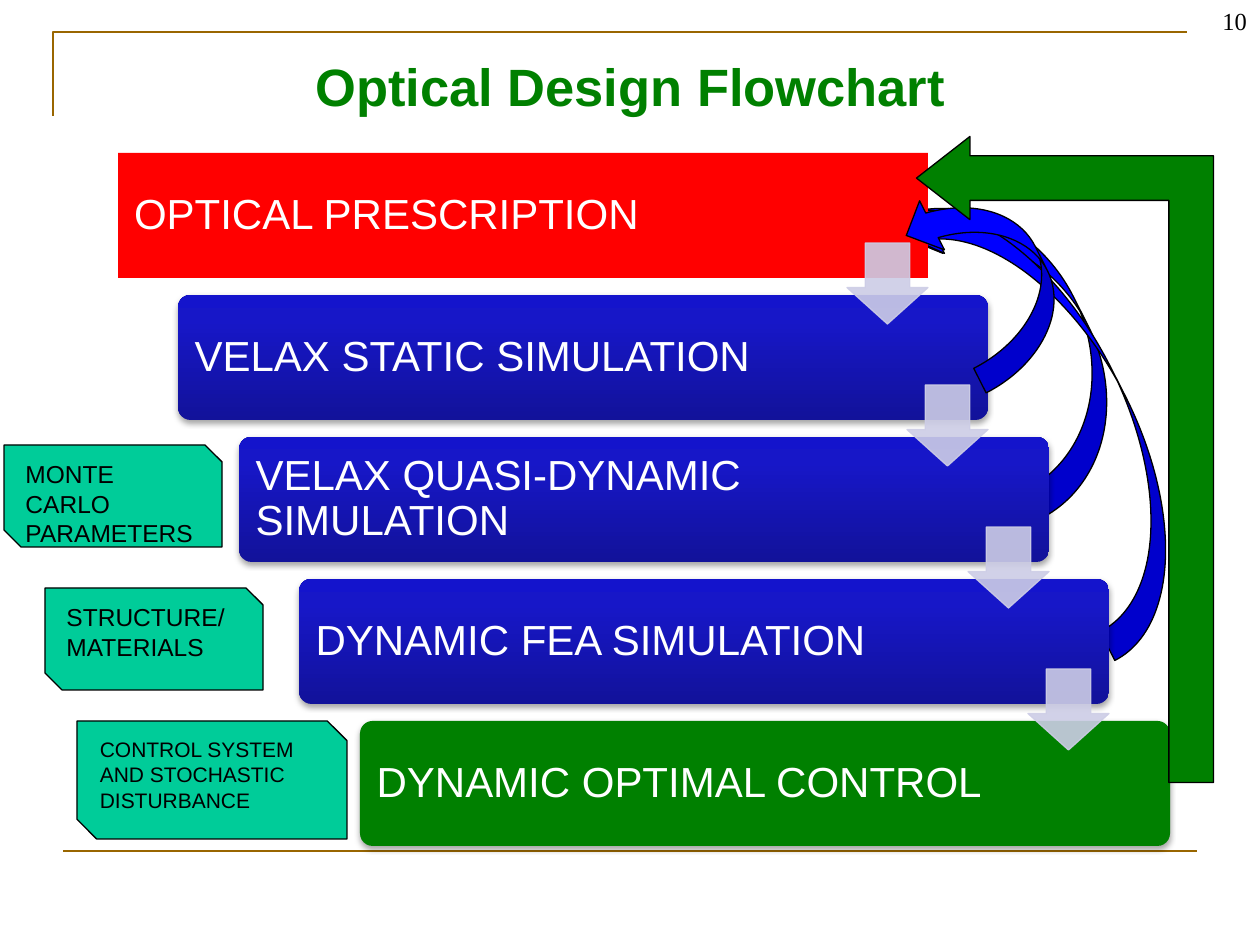
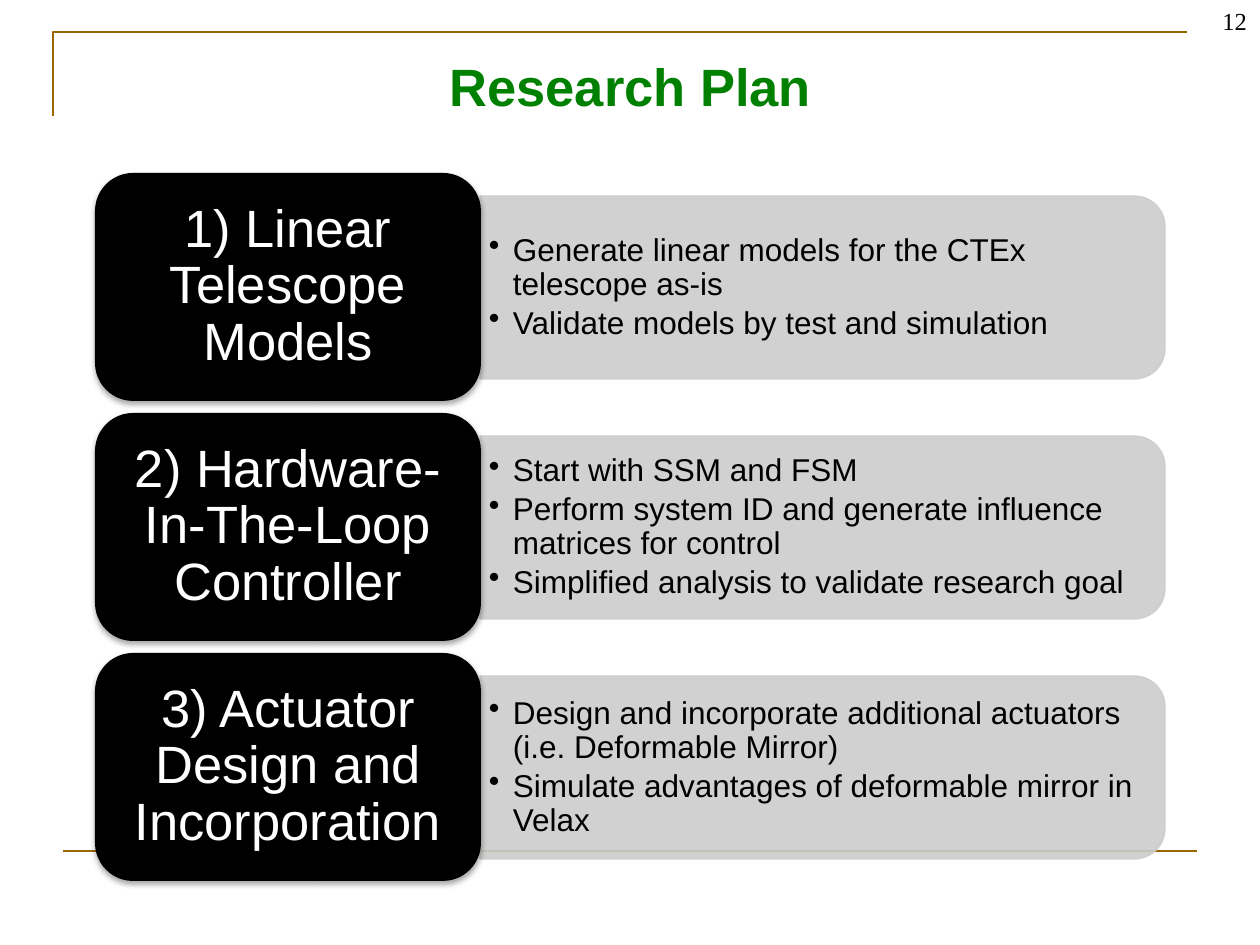
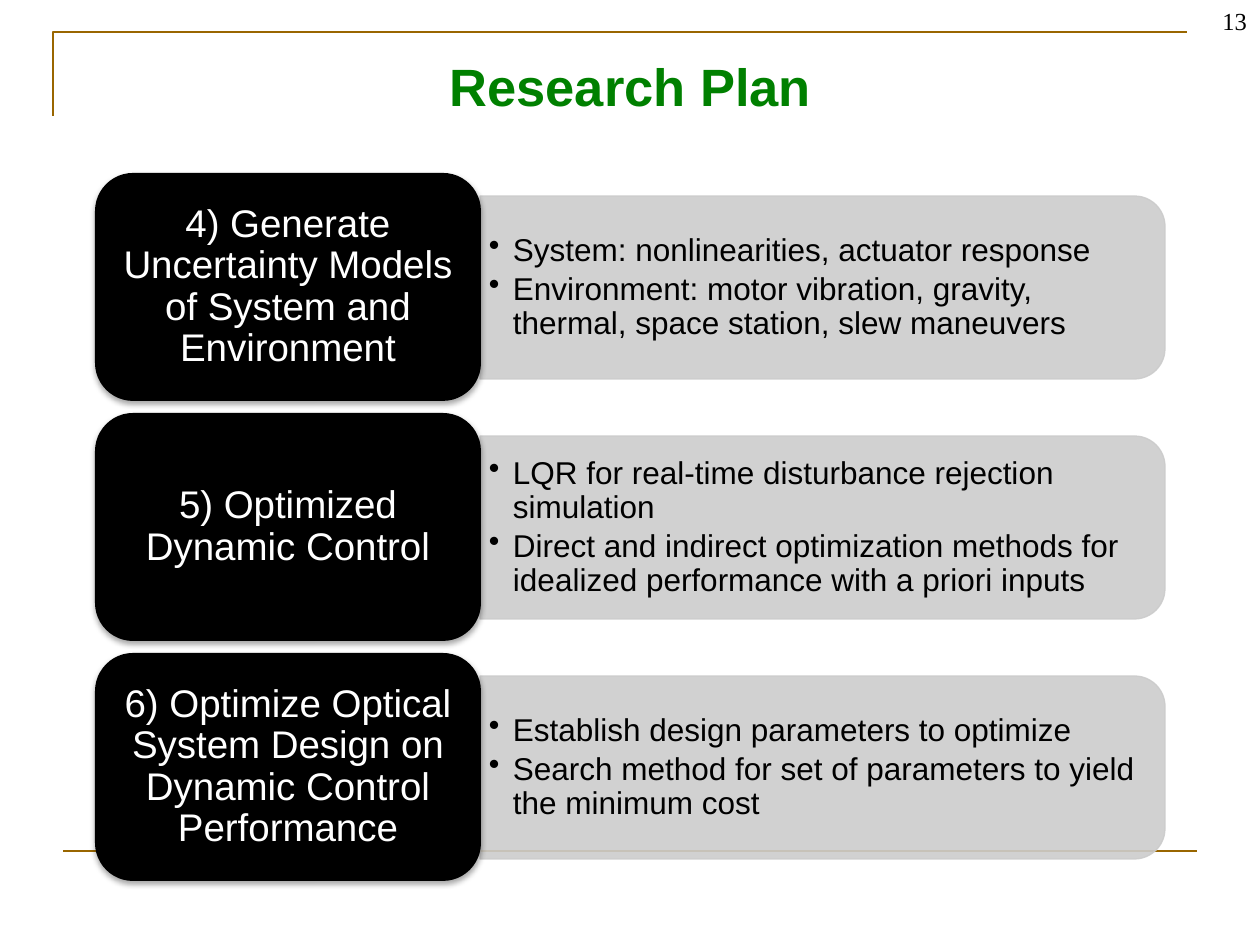
from dataclasses import dataclass
from typing import NamedTuple, Optional

from lxml import etree
from pptx import Presentation
from pptx.dml.color import RGBColor
from pptx.enum.shapes import MSO_CONNECTOR, MSO_SHAPE
from pptx.enum.text import MSO_ANCHOR, PP_ALIGN
from pptx.oxml import parse_xml
from pptx.oxml.ns import nsdecls, qn
from pptx.util import Emu, Pt

RECT = MSO_SHAPE.RECTANGLE
ROUNDED = MSO_SHAPE.ROUNDED_RECTANGLE
SNIPPED = MSO_SHAPE.SNIP_2_DIAG_RECTANGLE
TAB = MSO_SHAPE.ROUND_2_SAME_RECTANGLE
DOWN_ARROW = MSO_SHAPE.DOWN_ARROW
CURVED_ARROW = MSO_SHAPE.CURVED_RIGHT_ARROW
BENT_ARROW = MSO_SHAPE.BENT_UP_ARROW
STRAIGHT = MSO_CONNECTOR.STRAIGHT
TOP, MIDDLE = MSO_ANCHOR.TOP, MSO_ANCHOR.MIDDLE
LEFT, CENTER, RIGHT = PP_ALIGN.LEFT, PP_ALIGN.CENTER, PP_ALIGN.RIGHT

PX_PER_INCH = 126
BLACK, WHITE, GREEN, RED = "000000", "FFFFFF", "008000", "FF0000"
BROWN, BLUE, TEAL = "996600", "0000FF", "00CC99"
LAVENDER, GREY = "CDCDE6", "CCCCCC"
BLUE_STOPS = ((0, "12129A"), (80, "1717C8"), (100, "1414CC"))


class Box(NamedTuple):
    left: int
    top: int
    width: int
    height: int


class Insets(NamedTuple):
    left: int = 13
    top: int = 6
    right: int = 13
    bottom: int = 6


@dataclass(frozen=True)
class TextStyle:
    size: int
    color: str = BLACK
    font: str = "Arial"
    bold: bool = False
    align: PP_ALIGN = LEFT
    anchor: MSO_ANCHOR = TOP
    line_spacing: Optional[float] = None
    insets: Insets = Insets()
    bulleted: bool = False


@dataclass(frozen=True)
class Stage:
    """One step of the flowchart; no fill means the blue gradient."""
    label: str
    fill: Optional[str] = None
    geometry: MSO_SHAPE = ROUNDED


@dataclass(frozen=True)
class StageInput:
    label: str
    box: Box
    size: int = 14


@dataclass(frozen=True)
class Task:
    heading: str
    points: tuple[str, ...]


@dataclass(frozen=True)
class PlanPage:
    number: int
    heading_style: TextStyle
    tasks: tuple[Task, ...]


TITLE = TextStyle(30, GREEN, bold=True, align=CENTER, anchor=MIDDLE)
PAGE_NUMBER = TextStyle(14, font="Times New Roman", align=RIGHT)
POINTS = TextStyle(18, anchor=MIDDLE, line_spacing=0.9,
                   insets=Insets(9, 5, 9, 5), bulleted=True)

STAGES = (
    Stage("OPTICAL PRESCRIPTION", RED, RECT),
    Stage("VELAX STATIC SIMULATION"),
    Stage("VELAX QUASI-DYNAMIC SIMULATION"),
    Stage("DYNAMIC FEA SIMULATION"),
    Stage("DYNAMIC OPTIMAL CONTROL", GREEN),
)
STAGE_INPUTS = (
    StageInput("MONTE CARLO PARAMETERS", Box(4, 445, 218, 102)),
    StageInput("STRUCTURE/MATERIALS", Box(45, 588, 218, 102)),
    StageInput("CONTROL SYSTEM AND STOCHASTIC DISTURBANCE", Box(77, 721, 270, 118), 12),
)
FAR_LOOPS = (Box(955, 158, 129, 350), Box(992, 147, 129, 512))
NEAR_LOOP = Box(934, 175, 110, 204)
LOOP_ROTATION = 153.1


def heading_style(size: int, insets: Insets) -> TextStyle:
    return TextStyle(size, WHITE, align=CENTER, anchor=MIDDLE,
                     line_spacing=0.9, insets=insets)


PLAN_PAGES = (
    PlanPage(12, heading_style(30, Insets(15, 8, 15, 8)), (
        Task("1) Linear Telescope Models", (
            "Generate linear models for the CTEx telescope as-is",
            "Validate models by test and simulation")),
        Task("2) Hardware-In-The-Loop Controller", (
            "Start with SSM and FSM",
            "Perform system ID and generate influence matrices for control",
            "Simplified analysis to validate research goal")),
        Task("3) Actuator Design and Incorporation", (
            "Design and incorporate additional actuators (i.e. Deformable Mirror)",
            "Simulate advantages of deformable mirror in Velax")),
    )),
    PlanPage(13, heading_style(22, Insets(11, 6, 11, 6)), (
        Task("4) Generate Uncertainty Models of System and Environment", (
            "System: nonlinearities, actuator response",
            "Environment: motor vibration, gravity, thermal, space station, slew maneuvers")),
        Task("5) Optimized Dynamic Control", (
            "LQR for real-time disturbance rejection simulation",
            "Direct and indirect optimization methods for idealized performance "
            "with a priori inputs")),
        Task("6) Optimize Optical System Design on Dynamic Control Performance", (
            "Establish design parameters to optimize",
            "Search method for set of parameters to yield the minimum cost")),
    )),
)


def px(length: int) -> Emu:
    return Emu(round(length * 914400 / PX_PER_INCH))


def rgb(color: str) -> RGBColor:
    return RGBColor.from_string(color)


def write(shape, lines: tuple[str, ...], style: TextStyle) -> None:
    frame = shape.text_frame
    frame.word_wrap = True
    frame.vertical_anchor = style.anchor
    frame.margin_left, frame.margin_top, frame.margin_right, frame.margin_bottom = map(
        px, style.insets)
    for i, line in enumerate(lines):
        paragraph = frame.add_paragraph() if i else frame.paragraphs[0]
        paragraph.text = line
        paragraph.alignment = style.align
        paragraph.line_spacing = style.line_spacing
        font = paragraph.font
        font.name, font.size, font.bold = style.font, Pt(style.size), style.bold
        font.color.rgb = rgb(style.color)
        if style.bulleted:
            paragraph.space_after = Pt(2.7)
            properties = paragraph._p.get_or_add_pPr()
            properties.set("marL", str(px(24)))
            properties.set("indent", str(-px(24)))
            bullet = parse_xml(f'<a:buChar {nsdecls("a")} char="•"/>')
            properties.find(qn("a:defRPr")).addprevious(bullet)


def add_text(slide, box: Box, lines: tuple[str, ...], style: TextStyle) -> None:
    write(slide.shapes.add_textbox(*map(px, box)), lines, style)


def add_block(slide, geometry: MSO_SHAPE, box: Box, fill: Optional[str],
              line: Optional[str] = None, adjustments: tuple[float, ...] = (),
              rotation: float = 0, shadow: bool = False):
    """Add a preset shape; no fill means the blue gradient."""
    shape = slide.shapes.add_shape(geometry, *map(px, box))
    shape.rotation = rotation
    for i, value in enumerate(adjustments):
        shape.adjustments[i] = value
    if fill:
        shape.fill.solid()
        shape.fill.fore_color.rgb = rgb(fill)
    else:
        fill_blue_gradient(shape)
    if line:
        shape.line.color.rgb = rgb(line)
        shape.line.width = Pt(0.75)
    else:
        shape.line.fill.background()
    shape.shadow.inherit = False
    if shadow:
        shape._element.spPr.find(qn("a:effectLst")).append(parse_xml(
            f'<a:outerShdw {nsdecls("a")} blurRad="40000" dist="23000" dir="5400000" '
            f'rotWithShape="0"><a:srgbClr val="{BLACK}"><a:alpha val="35000"/>'
            '</a:srgbClr></a:outerShdw>'))
    return shape


def fill_blue_gradient(shape) -> None:
    stops = "".join(f'<a:gs pos="{percent * 1000}"><a:srgbClr val="{color}"/></a:gs>'
                    for percent, color in BLUE_STOPS)
    shape._element.spPr.find(qn("a:prstGeom")).addnext(parse_xml(
        f'<a:gradFill {nsdecls("a")} rotWithShape="1"><a:gsLst>{stops}</a:gsLst>'
        '<a:lin ang="16200000" scaled="0"/></a:gradFill>'))


def make_translucent(shape) -> None:
    """Give fill and line 90 % opacity."""
    for color in shape._element.spPr.iter(qn("a:srgbClr")):
        etree.SubElement(color, qn("a:alpha")).set("val", "90000")


def add_page(deck, title: str, number: int):
    """Add a slide with the shared frame lines, title and page number."""
    slide = deck.slides.add_slide(deck.slide_layouts[6])
    builder = slide.shapes.build_freeform(px(53), px(116))
    builder.add_line_segments([(px(53), px(32)), (px(1187), px(32))], close=False)
    corner = builder.convert_to_shape()
    corner.fill.background()
    corner.shadow.inherit = False
    base = slide.shapes.add_connector(STRAIGHT, px(63), px(851), px(1197), px(851))
    etree.SubElement(base._element.spPr, qn("a:effectLst"))
    for rule in (corner, base):
        rule.line.color.rgb = rgb(BROWN)
        rule.line.width = Pt(1.5)
    add_text(slide, Box(95, 32, 1071, 107), (title,), TITLE)
    add_text(slide, Box(998, 0, 262, 29), (str(number),), PAGE_NUMBER)
    return slide


def add_loop(slide, box: Box) -> None:
    add_block(slide, CURVED_ARROW, box, BLUE, BLACK, rotation=LOOP_ROTATION)


def stage_origin(index: int) -> tuple[int, int]:
    return 118 + 121 * index // 2, 153 + 142 * index


def add_stage(slide, index: int, stage: Stage) -> None:
    is_square = stage.geometry == RECT
    bar = add_block(slide, stage.geometry, Box(*stage_origin(index), 810, 125), stage.fill,
                    adjustments=() if is_square else (0.1,), shadow=not is_square)
    insets = Insets(16 if is_square else 13, 13, 142 + 13, 13)
    write(bar, (stage.label,), TextStyle(24, WHITE, anchor=MIDDLE, line_spacing=0.9,
                                         insets=insets))


def add_flowchart(deck) -> None:
    slide = add_page(deck, "Optical Design Flowchart", 10)
    for loop in FAR_LOOPS:
        add_loop(slide, loop)
    for i, stage in enumerate(STAGES):
        add_stage(slide, i, stage)
    for i in range(len(STAGES) - 1):
        left, top = stage_origin(i)
        make_translucent(add_block(slide, DOWN_ARROW, Box(left + 729, top + 90, 81, 81),
                                   LAVENDER, LAVENDER, adjustments=(0.55, 0.45)))
    for item in STAGE_INPUTS:
        write(add_block(slide, SNIPPED, item.box, TEAL, BLACK), (item.label,),
              TextStyle(item.size))
    add_loop(slide, NEAR_LOOP)
    add_block(slide, BENT_ARROW, Box(742, 311, 646, 297), GREEN, BLACK,
              adjustments=(0.15, 0.14, 0.18), rotation=270)


def add_plan(deck, page: PlanPage) -> None:
    slide = add_page(deck, "Research Plan", page.number)
    for i, task in enumerate(page.tasks):
        top = 173 + 240 * i
        make_translucent(add_block(slide, TAB, Box(731, top - 228, 183, 685), GREY, GREY,
                                   rotation=90))
        add_text(slide, Box(480, top + 32, 677, 165), task.points, POINTS)
        heading = add_block(slide, ROUNDED, Box(95, top, 386, 228), BLACK, shadow=True)
        write(heading, (task.heading,), page.heading_style)


def main() -> None:
    deck = Presentation()
    deck.slide_width, deck.slide_height = px(1260), px(945)
    add_flowchart(deck)
    for page in PLAN_PAGES:
        add_plan(deck, page)
    deck.save("out.pptx")


if __name__ == "__main__":
    main()
